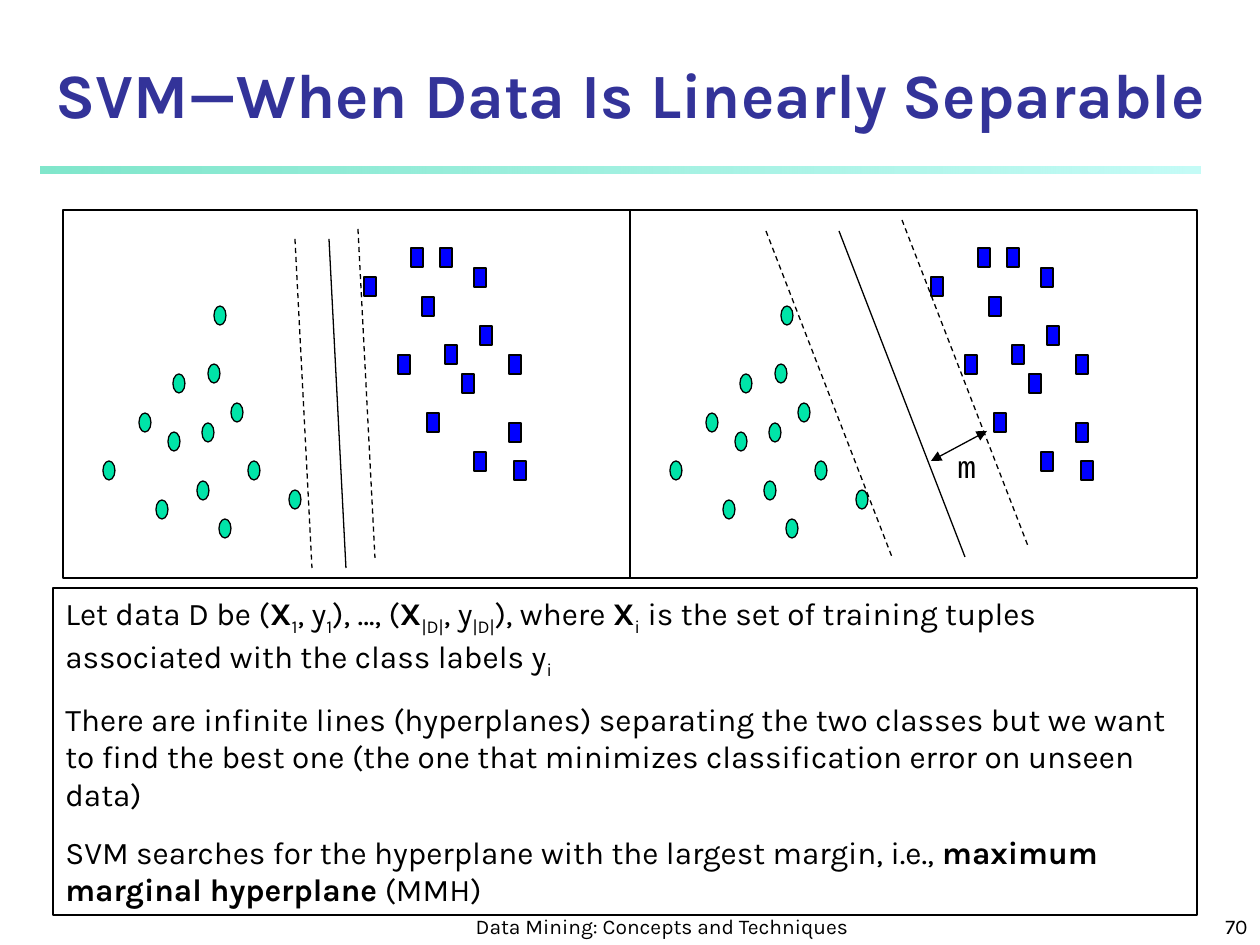
from lxml.etree import SubElement
from pptx import Presentation
from pptx.dml.color import RGBColor
from pptx.enum.dml import MSO_LINE_DASH_STYLE as DASH
from pptx.enum.shapes import MSO_CONNECTOR, MSO_SHAPE
from pptx.enum.text import MSO_ANCHOR, MSO_AUTO_SIZE, PP_ALIGN
from pptx.oxml.ns import qn
from pptx.util import Pt

EMU_PER_PX = 914400 / 126
BLACK = RGBColor(0x00, 0x00, 0x00)
NAVY = RGBColor(0x33, 0x33, 0x99)
GREEN = RGBColor(0x00, 0xE4, 0xA8)
BLUE = RGBColor(0x00, 0x00, 0xFF)
BAR_START = RGBColor(0x00, 0xCE, 0x98)
BAR_END = RGBColor(0x8F, 0xF9, 0xEF)
FONT = "Karla"
MARKER_WIDTH, MARKER_HEIGHT = 12, 19

# Marker corners, measured from the corner of a panel
GREEN_POINTS = [(93, 290), (105, 222), (40, 251), (76, 203), (134, 271),
                (110, 164), (139, 213), (145, 154), (168, 193), (185, 251),
                (156, 309), (226, 280), (151, 96)]
BLUE_POINTS = [(335, 145), (301, 67), (348, 38), (364, 203), (359, 87),
               (382, 135), (377, 38), (411, 58), (399, 164), (417, 116),
               (411, 242), (446, 145), (446, 213), (451, 251)]

# Each run is its text and its style: "" plain, "b" bold, "s" subscript
EXPLANATION = [
    [("Let data D be (", ""), ("X", "b"), ("1", "s"), (", y", ""), ("1", "s"),
     ("), …, (", ""), ("X", "b"), ("|D|", "s"), (", y", ""), ("|D|", "s"),
     ("), where ", ""), ("X", "b"), ("i", "s"),
     (" is the set of training tuples associated with the class labels y", ""),
     ("i", "s")],
    [("There are infinite lines (hyperplanes) separating the two classes but "
      "we want to find the best one (the one that minimizes classification "
      "error on unseen data)", "")],
    [("SVM searches for the hyperplane with the largest margin, i.e., ", ""),
     ("maximum marginal hyperplane", "b"), (" (MMH)", "")],
]


def px(*lengths):
    return [round(length * EMU_PER_PX) for length in lengths]


def format_paragraph(paragraph, size, color=BLACK, name=FONT, align=PP_ALIGN.LEFT):
    paragraph.alignment = align
    paragraph.font.size = Pt(size)
    paragraph.font.name = name
    paragraph.font.color.rgb = color


def add_outlined(shapes, kind, box, fill=None):
    shape = shapes.add_shape(kind, *px(*box))
    shape.shadow.inherit = False
    shape.line.color.rgb = BLACK
    shape.line.width = Pt(0.75)
    if fill is None:
        shape.fill.background()
    else:
        shape.fill.solid()
        shape.fill.fore_color.rgb = fill
    return shape


def add_line(shapes, start, end, dashed=False):
    line = shapes.add_connector(MSO_CONNECTOR.STRAIGHT, *px(*start, *end))
    line.line.color.rgb = BLACK
    line.line.width = Pt(0.75)
    if dashed:
        line.line.dash_style = DASH.DASH
    SubElement(line._element.spPr, qn("a:effectLst"))
    return line


def add_label(slide, box, text, size, name=FONT, align=PP_ALIGN.LEFT,
              anchor=MSO_ANCHOR.TOP):
    frame = slide.shapes.add_textbox(*px(*box)).text_frame
    frame.word_wrap = True
    frame.vertical_anchor = anchor
    frame.text = text
    format_paragraph(frame.paragraphs[0], size, name=name, align=align)


def add_header(slide, box):
    left, top, width, height = box
    title = slide.shapes.title
    title.left, title.top, title.width, title.height = px(*box)
    frame = title.text_frame
    frame.text = "SVM—When Data Is Linearly Separable"
    frame.auto_size = MSO_AUTO_SIZE.NONE
    frame.vertical_anchor = MSO_ANCHOR.BOTTOM
    format_paragraph(frame.paragraphs[0], 36, NAVY, align=PP_ALIGN.CENTER)
    frame.paragraphs[0].font.bold = True

    bar = slide.shapes.add_shape(
        MSO_SHAPE.RECTANGLE, *px(left + 41, top + height + 30, width - 100, 7))
    bar.shadow.inherit = False
    bar.line.fill.background()
    bar.fill.gradient()
    bar.fill.gradient_angle = 0
    stops = zip(bar.fill.gradient_stops, (BAR_START, BAR_END), (50000, 52000))
    for stop, color, alpha in stops:
        stop.color.rgb = color
    for node, alpha in zip(bar._element.spPr.iter(qn("a:srgbClr")), (50000, 52000)):
        SubElement(node, qn("a:alpha"), val=str(alpha))


def add_panel(slide, box, dashed_starts, solid_start, run, rise):
    """Scatter plot with three parallel lines, each spanning run by rise."""
    left, top = box[:2]
    shapes = slide.shapes.add_group_shape().shapes
    for kind, color, points in ((MSO_SHAPE.OVAL, GREEN, GREEN_POINTS),
                                (MSO_SHAPE.RECTANGLE, BLUE, BLUE_POINTS)):
        for x, y in points:
            add_outlined(shapes, kind,
                         (left + x, top + y, MARKER_WIDTH, MARKER_HEIGHT), color)
    add_outlined(shapes, MSO_SHAPE.RECTANGLE, box)
    for x, y in [*dashed_starts, solid_start]:
        add_line(shapes, (left + x, top + y), (left + x + run, top + y + rise),
                 dashed=(x, y) != solid_start)


def add_margin_mark(slide, box):
    """Double arrow across the margin, with its name below."""
    left, top, width, height = box
    arrow = add_line(slide.shapes, (left, top + height), (left + width, top))
    outline = arrow.line._get_or_add_ln()
    for end in ("a:headEnd", "a:tailEnd"):
        SubElement(outline, qn(end), type="triangle")
    add_label(slide, (left + 14, top + 10, 73, 50), "m", 18, "Courier New")


def add_explanation(slide, box):
    frame = add_outlined(slide.shapes, MSO_SHAPE.RECTANGLE, box).text_frame
    frame.word_wrap = True
    frame.auto_size = MSO_AUTO_SIZE.SHAPE_TO_FIT_TEXT
    frame.vertical_anchor = MSO_ANCHOR.TOP
    for index, runs in enumerate(EXPLANATION):
        paragraph = frame.add_paragraph() if index else frame.paragraphs[0]
        format_paragraph(paragraph, 18)
        paragraph.space_before = Pt(11.2)
        for text, style in runs:
            run = paragraph.add_run()
            run.text = text
            if style == "b":
                run.font.bold = True
            elif style == "s":
                run._r.get_or_add_rPr().set("baseline", "-25000")


def add_footer(slide, top, height):
    add_label(slide, (462, top, 400, height), "Data Mining: Concepts and Techniques",
              12, align=PP_ALIGN.CENTER, anchor=MSO_ANCHOR.BOTTOM)
    add_label(slide, (998, top, 262, height), "70",
              12, align=PP_ALIGN.RIGHT, anchor=MSO_ANCHOR.BOTTOM)


def main():
    presentation = Presentation()
    presentation.slide_width, presentation.slide_height = px(1260, 945)
    slide = presentation.slides.add_slide(presentation.slide_layouts[5])
    add_header(slide, (0, 53, 1260, 84))
    add_footer(slide, 892, 53)
    add_panel(slide, (63, 210, 567, 368), [(295, 19), (232, 29)], (266, 29), 17, 329)
    add_panel(slide, (630, 210, 567, 368), [(136, 21), (272, 10)], (209, 21), 126, 326)
    add_margin_mark(slide, (931, 431, 56, 30))
    add_explanation(slide, (53, 588, 1144, 327))
    presentation.save("out.pptx")


if __name__ == "__main__":
    main()
